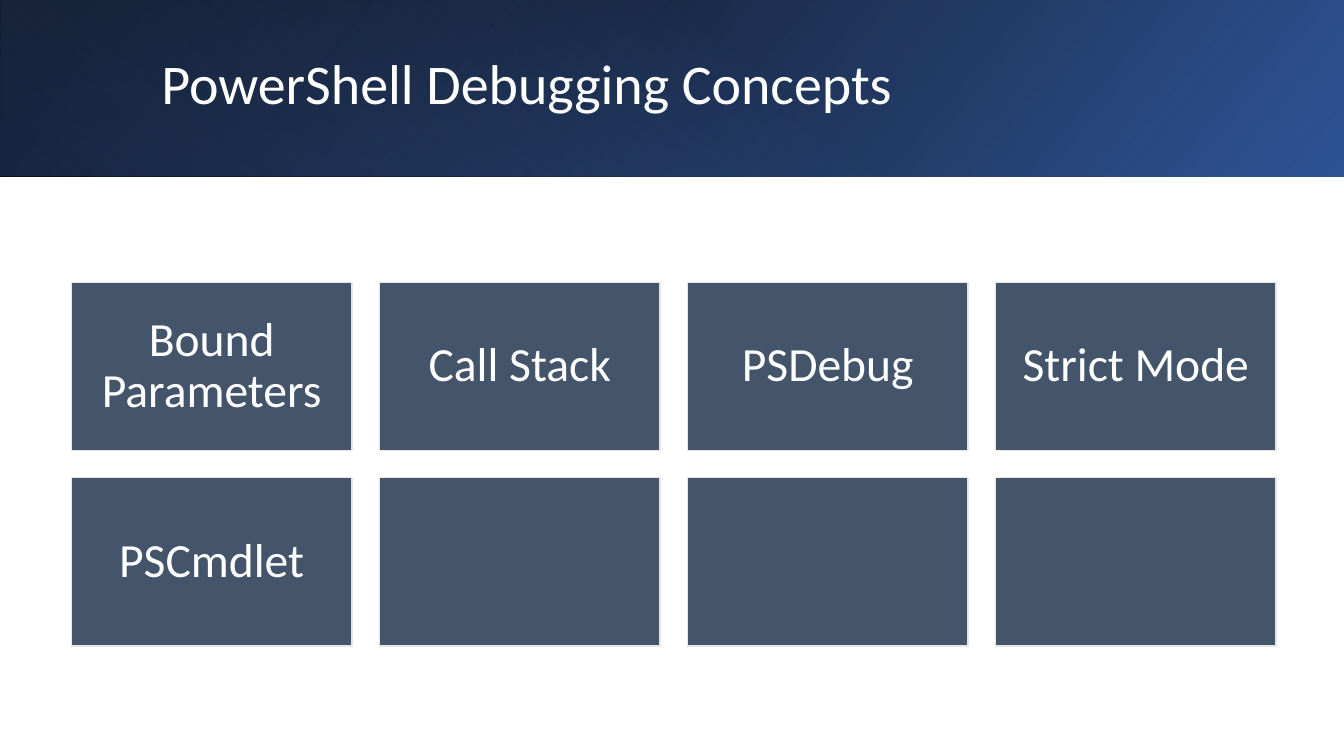
from dataclasses import dataclass

import lxml.etree
import pptx
import pptx.dml.color
import pptx.enum.shapes
import pptx.enum.text
import pptx.oxml
import pptx.oxml.ns
import pptx.util

Inches = pptx.util.Inches
FONT = "Calibri"
COLORS = {
    "black": "000000",
    "white": "FFFFFF",
    "blue": "2F5496",
    "accent": "4472C4",
    "navy": "1F3864",
    "tile": "44546A",
    "tile_line": "E7E6E6",
}


@dataclass
class Stop:
    position: int  # percent
    color: str
    opacity: int = 100  # percent


@dataclass
class Band:
    width: float
    height: float
    angle: int
    stops: list[Stop]
    rotation: int = 0


BANDS = [
    Band(13.33, 1.75, 140, [Stop(0, "black", 96), Stop(100, "blue")]),
    Band(8.88, 1.74, 230,
         [Stop(0, "accent", 0), Stop(20, "accent", 0), Stop(100, "navy", 55)], 180),
]
CONCEPTS = ["Bound Parameters", "Call Stack", "PSDebug", "Strict Mode",
            "PSCmdlet", "", "", ""]
COLUMNS = 4
GRID_LEFT, GRID_TOP = 0.71, 2.8
TILE_WIDTH, TILE_HEIGHT = 2.78, 1.67
STEP_X, STEP_Y = 3.055, 1.94


def rgb(name: str) -> pptx.dml.color.RGBColor:
    return pptx.dml.color.RGBColor.from_string(COLORS[name])


def add_rect(slide, left: float, top: float, width: float, height: float):
    sp = slide.shapes.add_shape(
        pptx.enum.shapes.MSO_SHAPE.RECTANGLE,
        Inches(left), Inches(top), Inches(width), Inches(height))
    sp.shadow.inherit = False
    return sp


def set_text(sp, text: str, size: int, margins: tuple[float, float]) -> None:
    tf = sp.text_frame
    tf.text = text
    tf.word_wrap = True
    tf.auto_size = pptx.enum.text.MSO_AUTO_SIZE.NONE
    tf.vertical_anchor = pptx.enum.text.MSO_ANCHOR.MIDDLE
    tf.margin_left = tf.margin_right = Inches(margins[0])
    tf.margin_top = tf.margin_bottom = Inches(margins[1])
    p = tf.paragraphs[0]
    p.line_spacing = 0.9
    for r in p.runs:
        r.font.name = FONT
        r.font.size = pptx.util.Pt(size)
        r.font.color.rgb = rgb("white")


def add_band(slide, band: Band) -> None:
    sp = add_rect(slide, 0, 0, band.width, band.height)
    sp.rotation = band.rotation
    sp.line.fill.background()
    sp.fill.background()
    properties = sp._element.spPr
    properties.find(pptx.oxml.ns.qn("a:xfrm")).set("flipH", "1")

    # Gradient with opacity per stop
    stops = "".join(
        f'<a:gs pos="{s.position * 1000}"><a:srgbClr val="{COLORS[s.color]}">'
        f'<a:alpha val="{s.opacity * 1000}"/></a:srgbClr></a:gs>'
        for s in band.stops)
    gradient = pptx.oxml.parse_xml(
        f'<a:gradFill {pptx.oxml.ns.nsdecls("a")} rotWithShape="1">'
        f'<a:gsLst>{stops}</a:gsLst>'
        f'<a:lin ang="{band.angle * 60000}" scaled="0"/></a:gradFill>')
    properties.replace(properties.find(pptx.oxml.ns.qn("a:noFill")), gradient)


def add_tile(slide, index: int, text: str) -> None:
    row, column = divmod(index, COLUMNS)
    sp = add_rect(slide, GRID_LEFT + column * STEP_X, GRID_TOP + row * STEP_Y,
                  TILE_WIDTH, TILE_HEIGHT)
    sp.fill.solid()
    sp.fill.fore_color.rgb = rgb("tile")
    sp.line.color.rgb = rgb("tile_line")
    sp.line.width = pptx.util.Pt(1)
    if text:
        set_text(sp, text, 34, (0.14, 0.14))
        sp.text_frame.paragraphs[0].alignment = pptx.enum.text.PP_ALIGN.CENTER


def main() -> None:
    prs = pptx.Presentation()
    prs.slide_width, prs.slide_height = Inches(13.33), Inches(7.5)
    slide = prs.slides.add_slide(prs.slide_layouts[5])

    # Header bands
    for band in BANDS:
        add_band(slide, band)

    # Title, in front of the bands
    title = slide.shapes.title
    title.left, title.top = Inches(1.5), Inches(0.38)
    title.width, title.height = Inches(10.98), Inches(0.96)
    set_text(title, "PowerShell Debugging Concepts", 40, (0.1, 0.05))
    title.text_frame.paragraphs[0].alignment = pptx.enum.text.PP_ALIGN.LEFT
    slide.shapes._spTree.append(title._element)

    # Concept tiles
    for index, concept in enumerate(CONCEPTS):
        add_tile(slide, index, concept)

    prs.save("out.pptx")


if __name__ == "__main__":
    main()
